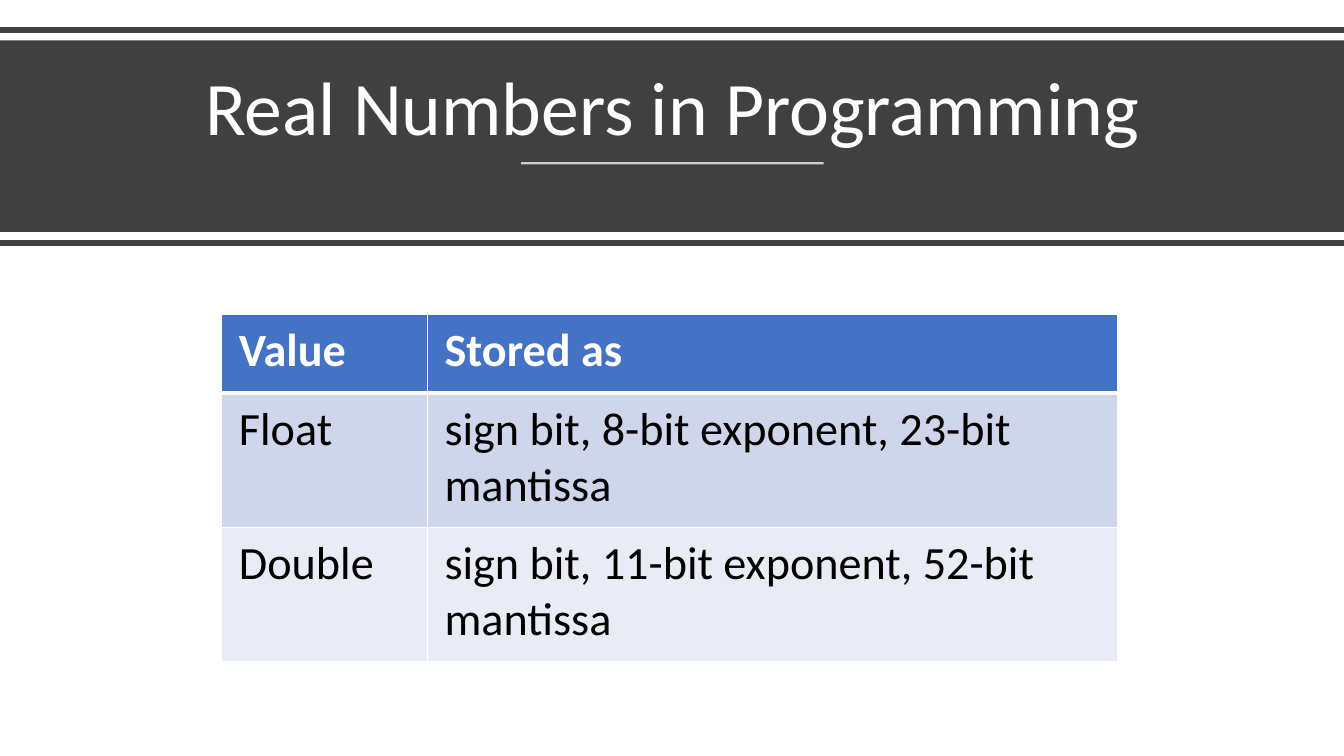
"""Build the slide on how real numbers are stored in programming."""
from lxml.etree import SubElement
from pptx import Presentation
from pptx.dml.color import RGBColor
from pptx.enum.shapes import MSO_CONNECTOR, MSO_SHAPE
from pptx.enum.text import MSO_ANCHOR, MSO_AUTO_SIZE, PP_ALIGN
from pptx.oxml.ns import qn
from pptx.util import Inches, Pt

WHITE, BLACK, CHARCOAL = "FFFFFF", "000000", "404040"
ROW_FILLS = ["4472C4", "CFD5EA", "E9EBF5"]
ROWS = [
    ["Value", "Stored as"],
    ["Float", "sign bit, 8-bit exponent, 23-bit mantissa"],
    ["Double", "sign bit, 11-bit exponent, 52-bit mantissa"],
]


def color(value):
    return RGBColor.from_string(value)


def add_border(cell, side, width):
    border = SubElement(cell._tc.get_or_add_tcPr(), qn(f"a:{side}"), w=str(Pt(width)))
    fill = SubElement(border, qn("a:solidFill"))
    SubElement(fill, qn("a:srgbClr"), val=WHITE)


deck = Presentation()
deck.slide_width, deck.slide_height = Inches(13.33), Inches(7.5)
page = deck.slides.add_slide(deck.slide_layouts[5])

band = page.shapes.add_shape(
    MSO_SHAPE.RECTANGLE, Inches(0), Inches(0.4), Inches(13.33), Inches(1.9)
)
band.shadow.inherit = False
band.fill.solid()
band.fill.fore_color.rgb = color(CHARCOAL)
band.line.fill.background()

title = page.shapes.title
title.element.getparent().append(title.element)
title.left, title.top = Inches(0.58), Inches(0.54)
title.width, title.height = Inches(12.18), Inches(1.02)
title.text_frame.text = "Real Numbers in Programming"
title.text_frame.auto_size = MSO_AUTO_SIZE.NONE
title.text_frame.vertical_anchor = MSO_ANCHOR.BOTTOM
heading = title.text_frame.paragraphs[0]
heading.alignment = PP_ALIGN.CENTER
heading.line_spacing = 0.9
heading.font.name, heading.font.size = "Calibri", Pt(54)
heading.font.color.rgb = color(WHITE)

for left, right, top, line_color, width, opacity in [
    (0, 13.33, 0.3, CHARCOAL, 4, 100),
    (5.17, 8.17, 1.62, WHITE, 1.5, 75),
    (0, 13.33, 2.41, CHARCOAL, 4, 100),
]:
    rule = page.shapes.add_connector(
        MSO_CONNECTOR.STRAIGHT, Inches(left), Inches(top), Inches(right), Inches(top)
    )
    rule.line.color.rgb = color(line_color)
    rule.line.width = Pt(width)
    SubElement(rule.element.spPr, qn("a:effectLst"))
    if opacity < 100:
        tint = rule.element.spPr.find(".//" + qn("a:srgbClr"))
        SubElement(tint, qn("a:alpha"), val=str(opacity * 1000))

table = page.shapes.add_table(
    3, 2, Inches(2.2), Inches(3.12), Inches(8.88), Inches(3.44)
).table
for column, width in zip(table.columns, [2.04, 6.84]):
    column.width = Inches(width)

for row_index, (texts, fill) in enumerate(zip(ROWS, ROW_FILLS)):
    is_header = row_index == 0
    table.rows[row_index].height = Inches(0.78 if is_header else 1.33)
    for column_index, text in enumerate(texts):
        cell = table.cell(row_index, column_index)
        cell.text = text
        cell.margin_left = cell.margin_right = Inches(0.17)
        cell.margin_top = cell.margin_bottom = Inches(0.08)
        for side in ["lnL", "lnR"]:
            add_border(cell, side, 1)
        add_border(cell, "lnT", 3 if row_index == 1 else 1)
        add_border(cell, "lnB", 3 if is_header else 1)
        cell.fill.solid()
        cell.fill.fore_color.rgb = color(fill)
        para = cell.text_frame.paragraphs[0]
        para.font.name, para.font.size = "Calibri", Pt(33)
        para.font.bold = is_header
        para.font.color.rgb = color(WHITE if is_header else BLACK)

deck.save("out.pptx")
